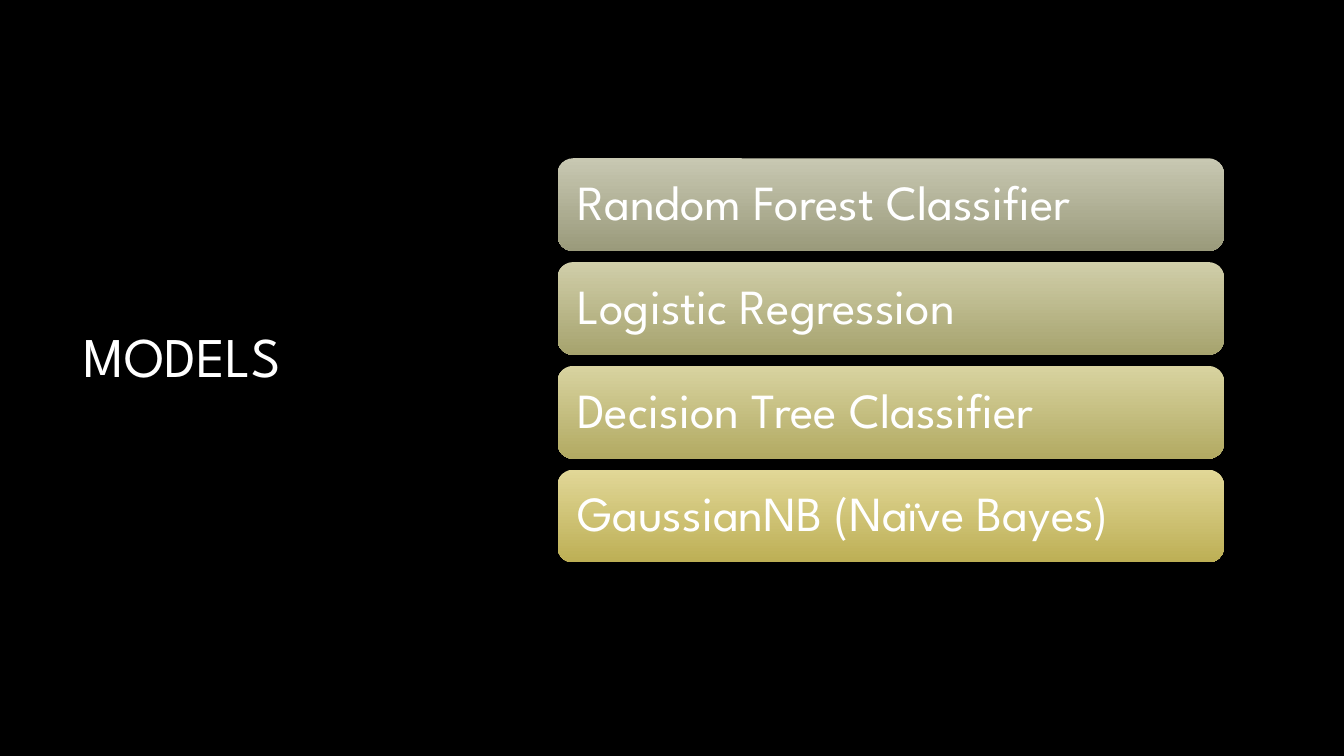
"""Build a slide that lists the four classification models."""
from pptx import Presentation
from pptx.dml.color import RGBColor
from pptx.enum import shapes, text
from pptx.util import Inches, Pt

FONT = "League Spartan"
BLACK = RGBColor(0x00, 0x00, 0x00)
WHITE = RGBColor(0xFF, 0xFF, 0xFF)
MODELS = [
    ("Random Forest Classifier", RGBColor(0xC8, 0xC8, 0xB2), RGBColor(0x9A, 0x9A, 0x7B)),
    ("Logistic Regression", RGBColor(0xD0, 0xCE, 0xA9), RGBColor(0xA6, 0xA3, 0x6E)),
    ("Decision Tree Classifier", RGBColor(0xD8, 0xD3, 0xA0), RGBColor(0xB2, 0xAA, 0x62)),
    ("GaussianNB (Naïve Bayes)", RGBColor(0xE1, 0xD7, 0x97), RGBColor(0xBD, 0xAF, 0x55)),
]
FIRST_TOP, PITCH = 1.57, 1.03


def write(frame, words, size):
    frame.text = words
    frame.word_wrap = True
    frame.vertical_anchor = text.MSO_ANCHOR.MIDDLE
    paragraph = frame.paragraphs[0]
    paragraph.alignment = text.PP_ALIGN.LEFT
    paragraph.line_spacing = 0.9
    paragraph.font.name = FONT
    paragraph.font.size = Pt(size)
    paragraph.font.color.rgb = WHITE


prs = Presentation()
prs.slide_width = Inches(13.33)
prs.slide_height = Inches(7.5)
slide = prs.slides.add_slide(prs.slide_layouts[5])
slide.background.fill.solid()
slide.background.fill.fore_color.rgb = BLACK

heading = slide.shapes.title
heading.left, heading.top = Inches(0.73), Inches(1.56)
heading.width, heading.height = Inches(3.31), Inches(4.02)
write(heading.text_frame, "MODELS", 40)

for row, (model, light, dark) in enumerate(MODELS):
    bar = slide.shapes.add_shape(
        shapes.MSO_SHAPE.ROUNDED_RECTANGLE,
        Inches(5.53), Inches(FIRST_TOP + row * PITCH), Inches(6.61), Inches(0.92))
    bar.shadow.inherit = False
    bar.line.fill.background()
    bar.fill.gradient()
    bar.fill.gradient_angle = 270
    for stop, position, color in zip(bar.fill.gradient_stops, (0, 1), (light, dark)):
        stop.position = position
        stop.color.rgb = color
    label = bar.text_frame
    label.margin_left = label.margin_right = Inches(0.15)
    label.margin_top = label.margin_bottom = Inches(0.15)
    write(label, model, 35)

prs.save("out.pptx")
